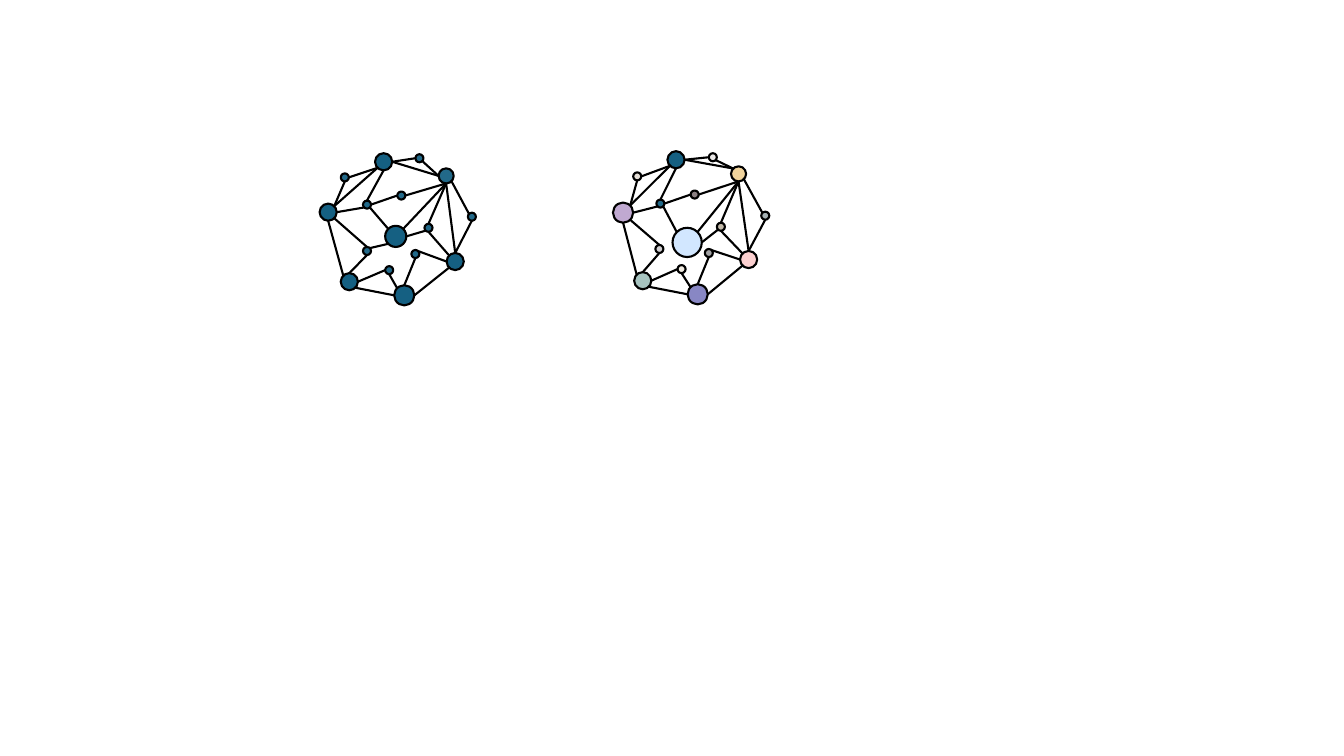
"""Build a slide with two networks of round nodes joined by straight lines."""
from dataclasses import dataclass
from math import cos, radians, sin

from lxml import etree
from pptx import Presentation
from pptx.dml.color import RGBColor
from pptx.enum.shapes import MSO_CONNECTOR, MSO_SHAPE
from pptx.oxml.ns import qn
from pptx.shapes.autoshape import Shape
from pptx.shapes.connector import Connector
from pptx.shapes.shapetree import GroupShapes
from pptx.util import Inches, Pt

ELLIPSE = MSO_SHAPE.OVAL
STRAIGHT = MSO_CONNECTOR.STRAIGHT

BLACK = RGBColor(0x00, 0x00, 0x00)
TEAL = RGBColor(0x15, 0x60, 0x82)
LILAC = RGBColor(0xC0, 0xA9, 0xD1)
SAND = RGBColor(0xF1, 0xD4, 0x9D)
SKY = RGBColor(0xD2, 0xE7, 0xFF)
VIOLET = RGBColor(0x88, 0x87, 0xC4)
SAGE = RGBColor(0xA7, 0xC4, 0xC0)
PINK = RGBColor(0xFC, 0xD0, 0xD0)
STEEL = RGBColor(0xA5, 0xB0, 0xB2)
KHAKI = RGBColor(0xC2, 0xB9, 0xA9)
TAUPE = RGBColor(0x8B, 0x80, 0x82)
GREY = RGBColor(0xA2, 0xA2, 0xA4)
CREAM = RGBColor(0xF0, 0xEB, 0xE1)
SILVER = RGBColor(0xD0, 0xCE, 0xD1)
PEARL = RGBColor(0xEB, 0xE9, 0xE8)
LINEN = RGBColor(0xE5, 0xDF, 0xD7)

SMALL = 0.08
SOFT = 94
OUTLINE = Pt(1.5)
E, SE, S, SW, W, NW, N, NE = range(0, 360, 45)


@dataclass(frozen=True)
class Node:
    left: float
    top: float
    size: float = SMALL
    color: RGBColor = TEAL
    opacity: int = 100

    def anchor(self, angle: int) -> tuple[float, float]:
        radius = self.size / 2
        return (
            self.left + radius * (1 + cos(radians(angle))),
            self.top + radius * (1 + sin(radians(angle))),
        )


@dataclass(frozen=True)
class Edge:
    start: str
    start_side: int
    end: str
    end_side: int


@dataclass(frozen=True)
class Network:
    nodes: dict[str, Node]
    edges: list[Edge]


SHARED_EDGES = [
    Edge("west", NE, "crown", SW),
    Edge("west", S, "southwest", NW),
    Edge("south", E, "southeast", SW),
    Edge("northeast", SE, "east", NW),
    Edge("northeast", S, "inner east", N),
    Edge("inner east", S, "southeast", NW),
    Edge("center", NE, "northeast", S),
    Edge("west", E, "inner west", SW),
    Edge("inner west", E, "inner north", W),
    Edge("inner west", SE, "center", NW),
    Edge("inner west", N, "crown", S),
    Edge("inner north", E, "northeast", S),
    Edge("inner southwest", N, "west", SE),
    Edge("inner southwest", S, "southwest", N),
    Edge("southwest", E, "lower left", W),
    Edge("lower left", S, "south", NW),
    Edge("south", N, "lower right", S),
    Edge("lower right", NE, "southeast", W),
    Edge("outer north", W, "crown", E),
    Edge("outer northwest", E, "crown", SW),
    Edge("outer northwest", S, "west", NE),
    Edge("inner east", SW, "center", E),
    Edge("southwest", SE, "south", W),
    Edge("east", S, "southeast", N),
    Edge("southeast", N, "northeast", S),
]

PLAIN_NETWORK = Network(
    nodes={
        "crown": Node(3.72, 1.52, 0.17),
        "west": Node(3.17, 2.02, 0.17),
        "northeast": Node(4.35, 1.67, 0.15, opacity=SOFT),
        "center": Node(3.82, 2.24, 0.21),
        "south": Node(3.91, 2.83, 0.2),
        "southwest": Node(3.38, 2.71, 0.17),
        "southeast": Node(4.43, 2.51, 0.17),
        "east": Node(4.64, 2.11, opacity=SOFT),
        "inner east": Node(4.21, 2.22, opacity=SOFT),
        "inner west": Node(3.6, 1.99, opacity=SOFT),
        "inner north": Node(3.94, 1.9, opacity=SOFT),
        "lower right": Node(4.08, 2.48, opacity=SOFT),
        "lower left": Node(3.82, 2.64, opacity=SOFT),
        "inner southwest": Node(3.6, 2.45, opacity=SOFT),
        "outer north": Node(4.12, 1.53, opacity=SOFT),
        "outer northwest": Node(3.38, 1.72, opacity=SOFT),
    },
    edges=SHARED_EDGES + [
        Edge("northeast", W, "crown", E),
        Edge("outer north", SE, "northeast", W),
        Edge("inner southwest", NE, "center", SW),
    ],
)

COLORED_NETWORK = Network(
    nodes={
        "crown": Node(6.62, 1.5, 0.17),
        "west": Node(6.08, 2.01, 0.2, LILAC),
        "northeast": Node(7.25, 1.65, 0.15, SAND),
        "center": Node(6.67, 2.26, 0.29, SKY),
        "south": Node(6.82, 2.82, 0.2, VIOLET),
        "southwest": Node(6.29, 2.7, 0.17, SAGE),
        "southeast": Node(7.34, 2.49, 0.17, PINK),
        "east": Node(7.55, 2.1, color=STEEL),
        "inner east": Node(7.11, 2.21, color=KHAKI),
        "inner west": Node(6.51, 1.98, opacity=SOFT),
        "inner north": Node(6.85, 1.89, color=TAUPE),
        "lower right": Node(6.99, 2.47, color=GREY),
        "lower left": Node(6.72, 2.63, color=CREAM),
        "inner southwest": Node(6.5, 2.43, color=SILVER),
        "outer north": Node(7.03, 1.52, color=PEARL),
        "outer northwest": Node(6.28, 1.71, color=LINEN),
    },
    edges=SHARED_EDGES + [
        Edge("northeast", NW, "crown", E),
        Edge("outer north", SE, "northeast", NW),
    ],
)


def set_outline(shape: Shape | Connector) -> None:
    shape.line.color.rgb = BLACK
    shape.line.width = OUTLINE


def draw_node(shapes: GroupShapes, node: Node) -> None:
    size = Inches(node.size)
    shape = shapes.add_shape(ELLIPSE, Inches(node.left), Inches(node.top), size, size)
    shape.shadow.inherit = False
    shape.fill.solid()
    shape.fill.fore_color.rgb = node.color
    if node.opacity < 100:
        color = shape._element.spPr.find(qn("a:solidFill")).find(qn("a:srgbClr"))
        etree.SubElement(color, qn("a:alpha"), val=str(node.opacity * 1000))
    set_outline(shape)


def draw_edge(shapes: GroupShapes, nodes: dict[str, Node], edge: Edge) -> None:
    start = nodes[edge.start].anchor(edge.start_side)
    end = nodes[edge.end].anchor(edge.end_side)
    connector = shapes.add_connector(STRAIGHT, *map(Inches, start + end))
    set_outline(connector)
    etree.SubElement(connector._element.spPr, qn("a:effectLst"))


def main() -> None:
    presentation = Presentation()
    presentation.slide_width = Inches(13.33)
    presentation.slide_height = Inches(7.5)
    slide = presentation.slides.add_slide(presentation.slide_layouts[6])
    for network in (PLAIN_NETWORK, COLORED_NETWORK):
        shapes = slide.shapes.add_group_shape().shapes
        for node in network.nodes.values():
            draw_node(shapes, node)
        for edge in network.edges:
            draw_edge(shapes, network.nodes, edge)
    presentation.save("out.pptx")


if __name__ == "__main__":
    main()
